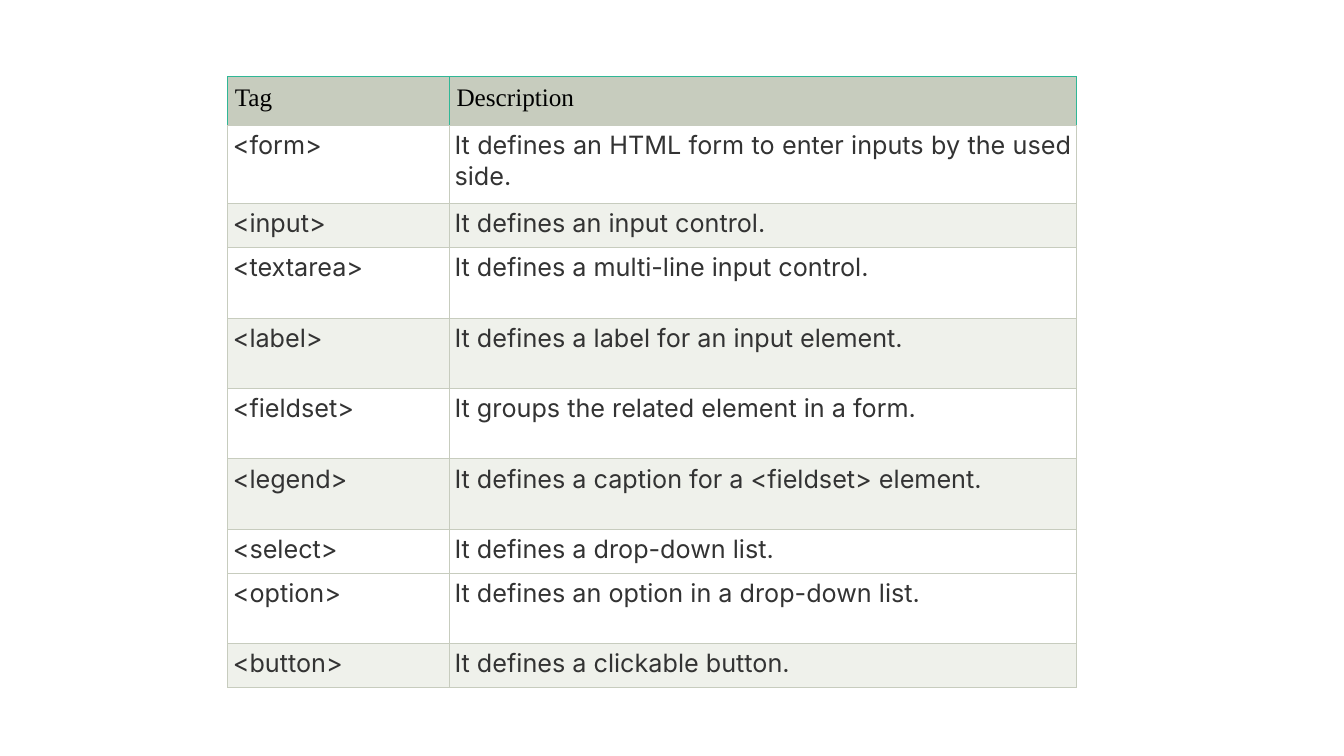
from dataclasses import dataclass

from pptx import Presentation
from pptx import util as u
from pptx.dml.color import RGBColor
from pptx.enum import text
from pptx.oxml import ns, xmlchemy
from pptx.table import _Cell as Cell

COLORS = {
    "header": "C7CCBE", "grid": "C7CCBE", "accent": "30B796", "band": "EFF1EB",
    "plain": "FFFFFF", "black": "000000", "body": "333333",
}
SLIDE_W, SLIDE_H = u.Inches(13.33), u.Inches(7.5)
LEFT, TOP = 16.95, 10.13
COLUMNS = (16.5, 46.66)
HEADER, SINGLE, DOUBLE, WRAPPED = 6.48, 5.82, 9.31, 10.32


@dataclass(frozen=True)
class TagRow:
    """One table row: its texts, height in percent of the slide and fill."""
    tag: str
    description: str
    height: float
    fill: str = "plain"


ROWS = (
    TagRow("Tag", "Description", HEADER, "header"),
    TagRow("<form>", "It defines an HTML form to enter inputs by the used side.", WRAPPED),
    TagRow("<input>", "It defines an input control.", SINGLE, "band"),
    TagRow("<textarea>", "It defines a multi-line input control.", DOUBLE),
    TagRow("<label>", "It defines a label for an input element.", DOUBLE, "band"),
    TagRow("<fieldset>", "It groups the related element in a form.", DOUBLE),
    TagRow("<legend>", "It defines a caption for a <fieldset> element.", DOUBLE, "band"),
    TagRow("<select>", "It defines a drop-down list.", SINGLE),
    TagRow("<option>", "It defines an option in a drop-down list.", DOUBLE),
    TagRow("<button>", "It defines a clickable button.", SINGLE, "band"),
)


def across(percent: float) -> int:
    """Turn a percentage of the slide width into a length."""
    return round(SLIDE_W * percent / 100)


def down(percent: float) -> int:
    """Turn a percentage of the slide height into a length."""
    return round(SLIDE_H * percent / 100)


def write(cell: Cell, content: str, *, font: str, color: str, inset: float,
          align: text.PP_ALIGN) -> None:
    """Put formatted text into a cell."""
    margin = u.Inches(inset)
    cell.margin_left = cell.margin_right = margin
    cell.margin_top = cell.margin_bottom = margin
    p = cell.text_frame.paragraphs[0]
    p.alignment = align
    r = p.add_run()
    r.text = content
    r.font.name, r.font.size, r.font.bold = font, u.Pt(18), False
    r.font.color.rgb = RGBColor.from_string(COLORS[color])


def set_borders(cell: Cell, **sides: str) -> None:
    """Draw thin lines in the named colours on the sides L, R, T and B."""
    props = cell._tc.get_or_add_tcPr()
    for i, (side, color) in enumerate(sides.items()):
        line = xmlchemy.OxmlElement(f"a:ln{side}")
        line.set("w", str(u.Pt(0.6)))
        solid = xmlchemy.OxmlElement("a:solidFill")
        rgb = xmlchemy.OxmlElement("a:srgbClr")
        rgb.set("val", COLORS[color])
        solid.append(rgb)
        line.append(solid)
        props.insert(i, line)


def draw_cell(cell: Cell, content: str, fill: str) -> None:
    """Fill, border and write one cell of the tag table."""
    cell.fill.solid()
    cell.fill.fore_color.rgb = RGBColor.from_string(COLORS[fill])
    if fill == "header":
        set_borders(cell, L="accent", R="accent", T="accent", B="grid")
        write(cell, content, font="Times New Roman", color="black", inset=0.07,
              align=text.PP_ALIGN.LEFT)
    else:
        set_borders(cell, L="grid", R="grid", T="grid", B="grid")
        write(cell, content, font="Inter", color="body", inset=0.05,
              align=text.PP_ALIGN.JUSTIFY)


def main() -> None:
    """Build the slide with the table of form tags."""
    prs = Presentation()
    prs.slide_width, prs.slide_height = SLIDE_W, SLIDE_H
    s = prs.slides.add_slide(prs.slide_layouts[6])
    height = sum(row.height for row in ROWS)
    table = s.shapes.add_table(len(ROWS), len(COLUMNS), across(LEFT), down(TOP),
                               across(sum(COLUMNS)), down(height)).table
    table.first_row = table.horz_banding = False
    for column, width in zip(table.columns, COLUMNS):
        column.width = across(width)
    for i, row in enumerate(ROWS):
        table.rows[i].height = down(row.height)
        for j, content in enumerate((row.tag, row.description)):
            draw_cell(table.cell(i, j), content, row.fill)
    prs.save("out.pptx")


if __name__ == "__main__":
    main()
